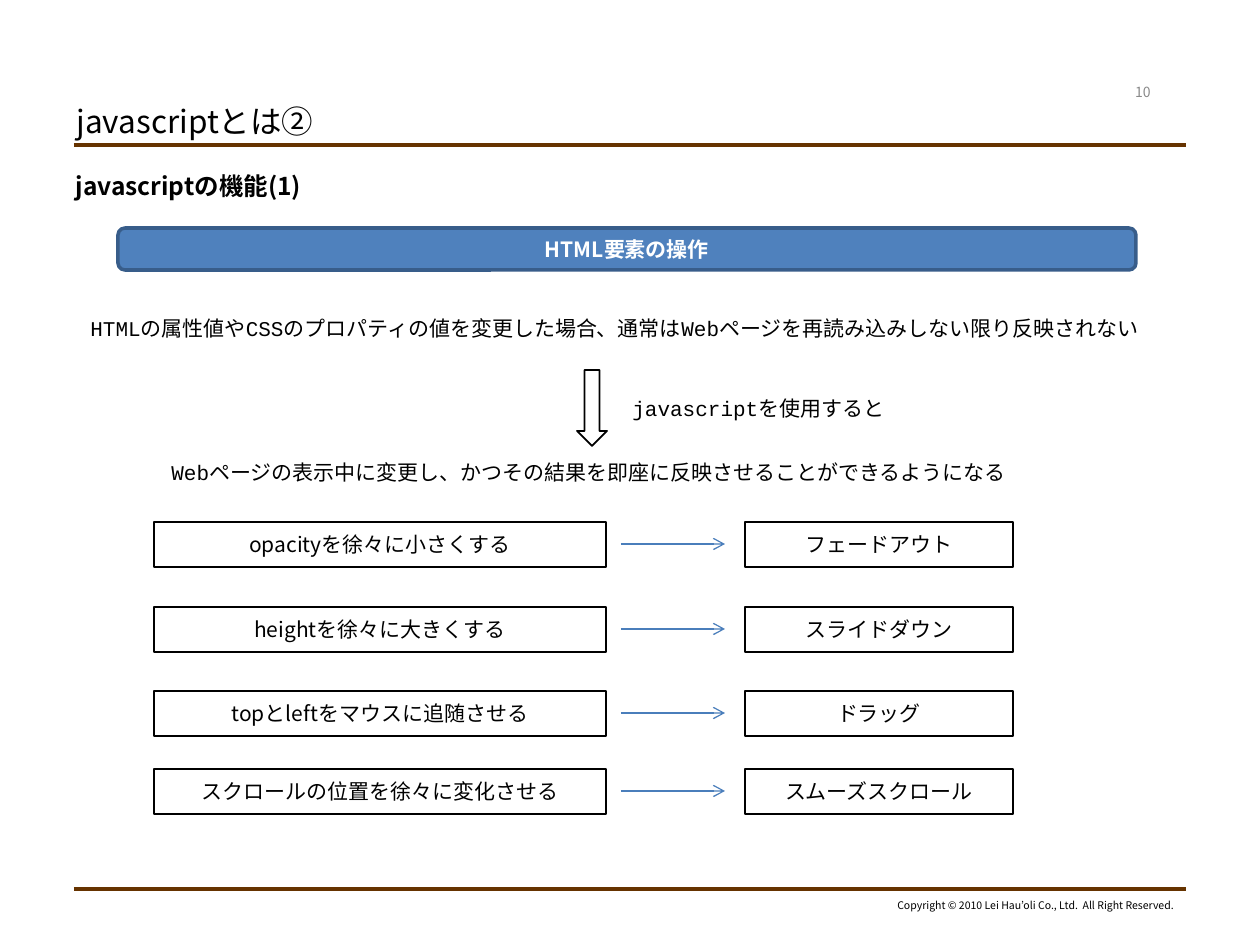
from lxml import etree
from pptx import Presentation
from pptx.dml.color import RGBColor
from pptx.enum.shapes import MSO_CONNECTOR, MSO_SHAPE
from pptx.enum.text import MSO_ANCHOR, MSO_AUTO_SIZE, PP_ALIGN
from pptx.oxml.ns import qn
from pptx.util import Pt

PX = 914400 / 126
LEFT, CENTER, RIGHT = PP_ALIGN.LEFT, PP_ALIGN.CENTER, PP_ALIGN.RIGHT
TOP, MIDDLE = MSO_ANCHOR.TOP, MSO_ANCHOR.MIDDLE
NO_AUTOFIT = MSO_AUTO_SIZE.NONE
STRAIGHT = MSO_CONNECTOR.STRAIGHT
RECT, ROUND_RECT = MSO_SHAPE.RECTANGLE, MSO_SHAPE.ROUNDED_RECTANGLE
DOWN_ARROW = MSO_SHAPE.DOWN_ARROW
SANS, MONO = "Noto Sans CJK JP", "Courier New"
COLORS = {
    "black": "000000", "white": "FFFFFF", "gray": "898989", "rule": "663300",
    "banner": "4F81BD", "banner_edge": "385D8A", "arrow": "4A7EBB",
}

prs = Presentation()
prs.slide_width, prs.slide_height = int(1260 * PX), int(945 * PX)
s = prs.slides.add_slide(prs.slide_layouts[1])


def put_text(sp, text, box=None, size=12, font=SANS, color="black", bold=False,
             align=LEFT, anchor=TOP, wrap=True):
    """Write one formatted paragraph into sp, moving sp to box (px) if given."""
    if box:
        sp.left, sp.top, sp.width, sp.height = [int(v * PX) for v in box]
    tf = sp.text_frame
    tf.auto_size, tf.word_wrap, tf.vertical_anchor = NO_AUTOFIT, wrap, anchor
    p = tf.paragraphs[0]
    p.alignment = align
    r = p.add_run()
    r.text = text
    r.font.size, r.font.bold, r.font.name = Pt(size), bold, font
    r.font.color.rgb = RGBColor.from_string(COLORS[color])
    east_asian = etree.Element(qn("a:ea"), typeface=SANS)
    r.font._element.find(qn("a:latin")).addnext(east_asian)


def add_line(x1, x2, y, color, width, arrow=False):
    sp = s.shapes.add_connector(STRAIGHT, *[int(v * PX) for v in (x1, y, x2, y)])
    sp.line.color.rgb = RGBColor.from_string(COLORS[color])
    sp.line.width = Pt(width)
    if arrow:
        etree.SubElement(sp.line._get_or_add_ln(), qn("a:tailEnd"), type="arrow")
    etree.SubElement(sp._element.spPr, qn("a:effectLst"))


# Rules above and below the content
for y in (145, 889):
    add_line(74, 1186, y, "rule", 2.25)

# Title and heading
put_text(s.shapes.title, "javascriptとは②", (64, 96, 716, 49), size=18, anchor=MIDDLE)
body = s.placeholders[1]
pPr = body.text_frame.paragraphs[0]._p.get_or_add_pPr()
pPr.set("marL", "0")
pPr.set("indent", "0")
etree.SubElement(pPr, qn("a:buNone"))
put_text(body, "javascriptの機能(1)", (63, 165, 1134, 704), size=14, bold=True)
body.text_frame.paragraphs[0].space_before = Pt(0)

# Free text
texts = [
    ("Copyright © 2010 Lei Hau’oli Co., Ltd.  All Right Reserved.",
     (881, 893, 305, 25), dict(size=6, align=RIGHT, wrap=False)),
    ("10", (1106, 77, 74, 30), dict(size=8, color="gray", align=CENTER, anchor=MIDDLE)),
    ("HTMLの属性値やCSSのプロパティの値を変更した場合、通常はWebページを再読み込みしない限り反映されない",
     (78, 309, 1100, 38), dict(font=MONO, wrap=False)),
    ("javascriptを使用すると", (620, 389, 282, 38), dict(font=MONO, wrap=False)),
    ("Webページの表示中に変更し、かつその結果を即座に反映させることができるようになる",
     (159, 453, 866, 38), dict(font=MONO, wrap=False)),
]
for text, box, style in texts:
    put_text(s.shapes.add_textbox(0, 0, 0, 0), text, box, **style)

# Banner, block arrow and the operation -> effect rows
shapes = [
    (ROUND_RECT, (118, 228, 1018, 42), "HTML要素の操作", "banner", "banner_edge", 2),
    (DOWN_ARROW, (577, 370, 30, 76), "", None, "black", 1),
]
rows = [
    (522, "opacityを徐々に小さくする", "フェードアウト"),
    (607, "heightを徐々に大きくする", "スライドダウン"),
    (691, "topとleftをマウスに追随させる", "ドラッグ"),
    (769, "スクロールの位置を徐々に変化させる", "スムーズスクロール"),
]
for y, operation, effect in rows:
    shapes.append((RECT, (154, y, 452, 45), operation, None, "black", 1))
    shapes.append((RECT, (745, y, 268, 45), effect, None, "black", 1))
    add_line(621, 725, y + 22, "arrow", 0.75, arrow=True)

for kind, box, text, fill, edge, width in shapes:
    sp = s.shapes.add_shape(kind, *[int(v * PX) for v in box])
    sp.shadow.inherit = False
    if fill:
        sp.fill.solid()
        sp.fill.fore_color.rgb = RGBColor.from_string(COLORS[fill])
    else:
        sp.fill.background()
    sp.line.color.rgb = RGBColor.from_string(COLORS[edge])
    sp.line.width = Pt(width)
    if text:
        put_text(sp, text, color="white" if fill else "black", bold=bool(fill),
                 align=CENTER, anchor=MIDDLE)

prs.save("out.pptx")
